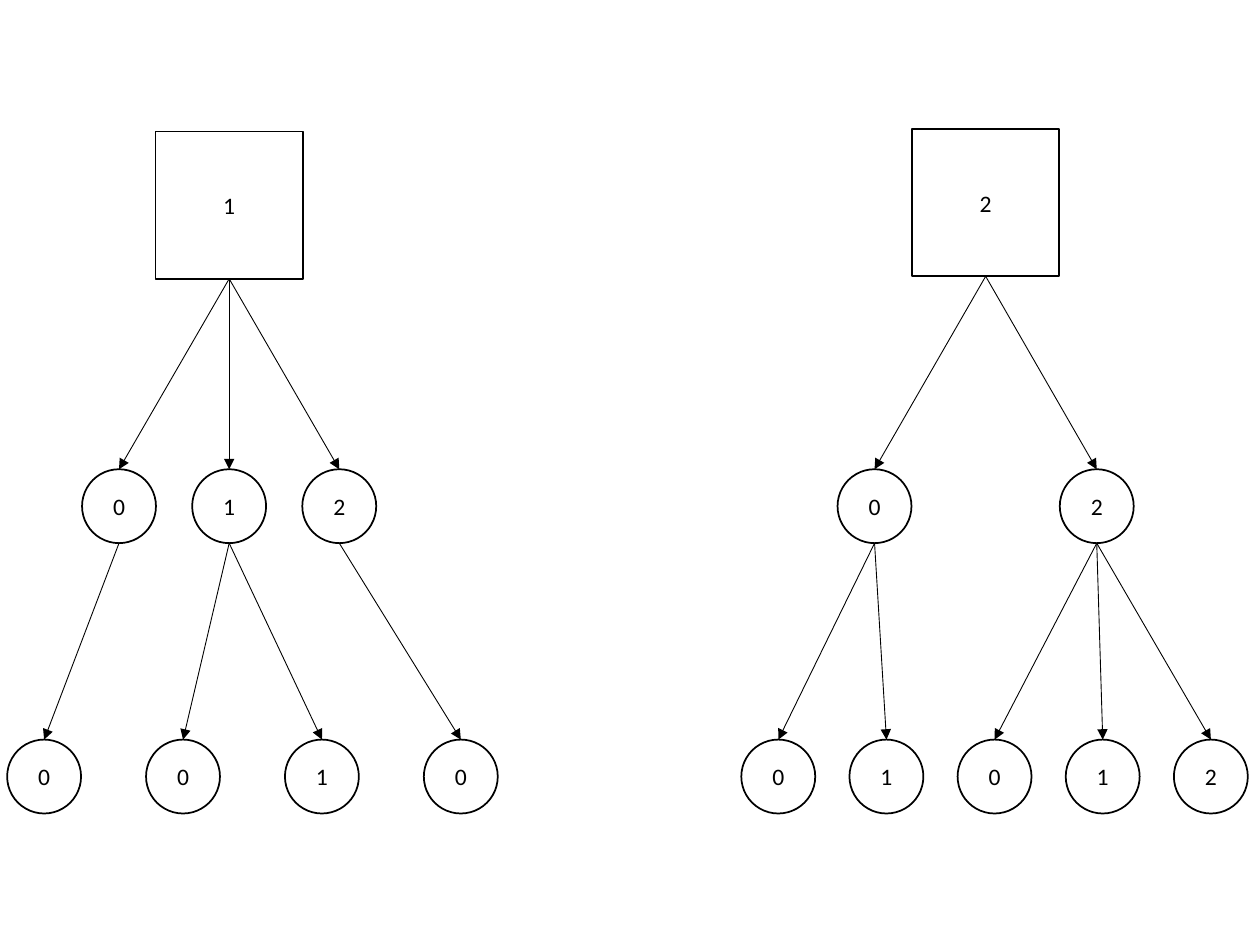
from dataclasses import dataclass

from lxml import etree
from pptx import Presentation
from pptx import util as u
from pptx.dml.color import RGBColor
from pptx.enum import shapes, text
from pptx.oxml.ns import qn


@dataclass(frozen=True)
class Theme:
    ink: RGBColor = RGBColor(0, 0, 0)
    paper: RGBColor = RGBColor(255, 255, 255)
    font: str = "Calibri"
    size: u.Pt = u.Pt(13.5)
    outline: u.Pt = u.Pt(1)
    edge: u.Pt = u.Pt(0.5)


THEME = Theme()
SQUARE, CIRCLE = 2.97, 1.49  # node sizes in cm
MIDDLE_TOP, LEAF_TOP = 9.46, 14.91

# Middle nodes: (label, offset from the root centre, leaf labels)
TREES = [
    {"label": "1", "center": 4.62, "top": 2.65, "first_leaf": 0.89, "leaf_step": 2.8,
     "middle": [("0", -2.22, "0"), ("1", 0, "01"), ("2", 2.22, "0")]},
    {"label": "2", "center": 19.87, "top": 2.6, "first_leaf": 15.69, "leaf_step": 2.18,
     "middle": [("0", -2.24, "01"), ("2", 2.24, "012")]},
]


def set_attrs(obj, values):
    for name, value in values.items():
        setattr(obj, name, value)


def add_node(s, kind, label, center, top, size):
    sp = s.shapes.add_shape(kind, u.Cm(center - size / 2), u.Cm(top),
                            u.Cm(size), u.Cm(size))
    sp.shadow.inherit = False
    sp.line.color.rgb = THEME.ink
    sp.line.width = THEME.outline
    tf = sp.text_frame
    set_attrs(tf, {"word_wrap": True, "vertical_anchor": text.MSO_ANCHOR.MIDDLE,
                   "margin_left": u.Cm(0.18), "margin_right": u.Cm(0.18),
                   "margin_top": u.Cm(0.1), "margin_bottom": u.Cm(0.1)})
    p = tf.paragraphs[0]
    p.alignment = text.PP_ALIGN.CENTER
    r = p.add_run()
    r.text = label
    set_attrs(r.font, {"name": THEME.font, "size": THEME.size})
    r.font.color.rgb = THEME.ink
    return sp


def add_square(s, label, center, top):
    sp = add_node(s, shapes.MSO_SHAPE.RECTANGLE, label, center, top, SQUARE)
    sp.fill.solid()
    sp.fill.fore_color.rgb = THEME.paper
    return sp


def add_circle(s, label, center, top):
    sp = add_node(s, shapes.MSO_SHAPE.OVAL, label, center, top, CIRCLE)
    sp.fill.background()
    return sp


def add_arrow(s, parent, child):
    """Arrow from the bottom of the parent to the top of the child."""
    cx = s.shapes.add_connector(
        shapes.MSO_CONNECTOR.STRAIGHT,
        parent.left + parent.width // 2, parent.top + parent.height,
        child.left + child.width // 2, child.top)
    if parent.auto_shape_type == shapes.MSO_SHAPE.RECTANGLE:
        cx.begin_connect(parent, 2)
    cx.end_connect(child, 0)
    cx.line.color.rgb = THEME.ink
    cx.line.width = THEME.edge
    etree.SubElement(cx.line._get_or_add_ln(), qn("a:tailEnd"), type="triangle")
    etree.SubElement(cx._element.spPr, qn("a:effectLst"))


def add_tree(s, tree):
    # Root
    root = add_square(s, tree["label"], tree["center"], tree["top"])
    leaf_center = tree["first_leaf"]
    for label, offset, leaves in tree["middle"]:
        # Middle row
        node = add_circle(s, label, tree["center"] + offset, MIDDLE_TOP)
        add_arrow(s, root, node)
        # Leaves, evenly spaced across the whole tree
        for leaf_label in leaves:
            leaf = add_circle(s, leaf_label, leaf_center, LEAF_TOP)
            add_arrow(s, node, leaf)
            leaf_center += tree["leaf_step"]


def main():
    prs = Presentation()
    set_attrs(prs, {"slide_width": u.Cm(25.4), "slide_height": u.Cm(19.05)})
    s = prs.slides.add_slide(prs.slide_layouts[6])
    for tree in TREES:
        add_tree(s, tree)
    prs.save("out.pptx")


if __name__ == "__main__":
    main()
